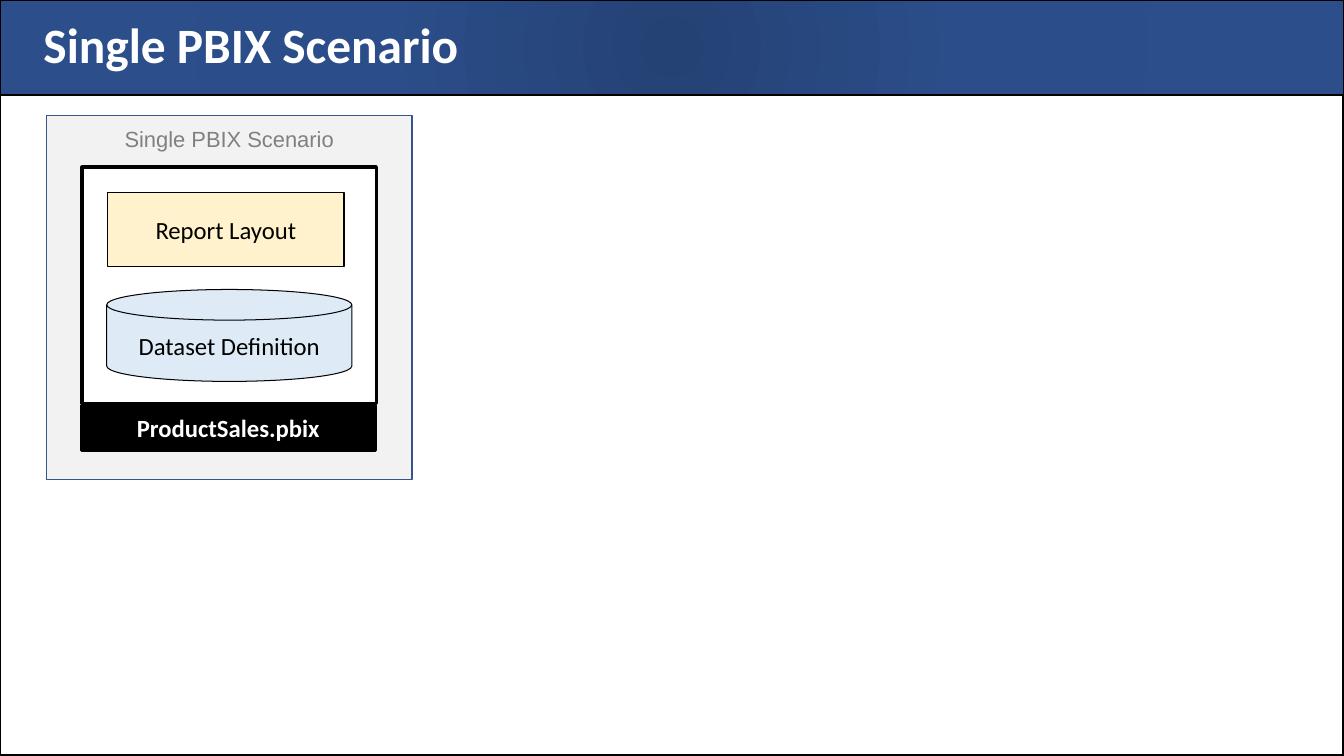
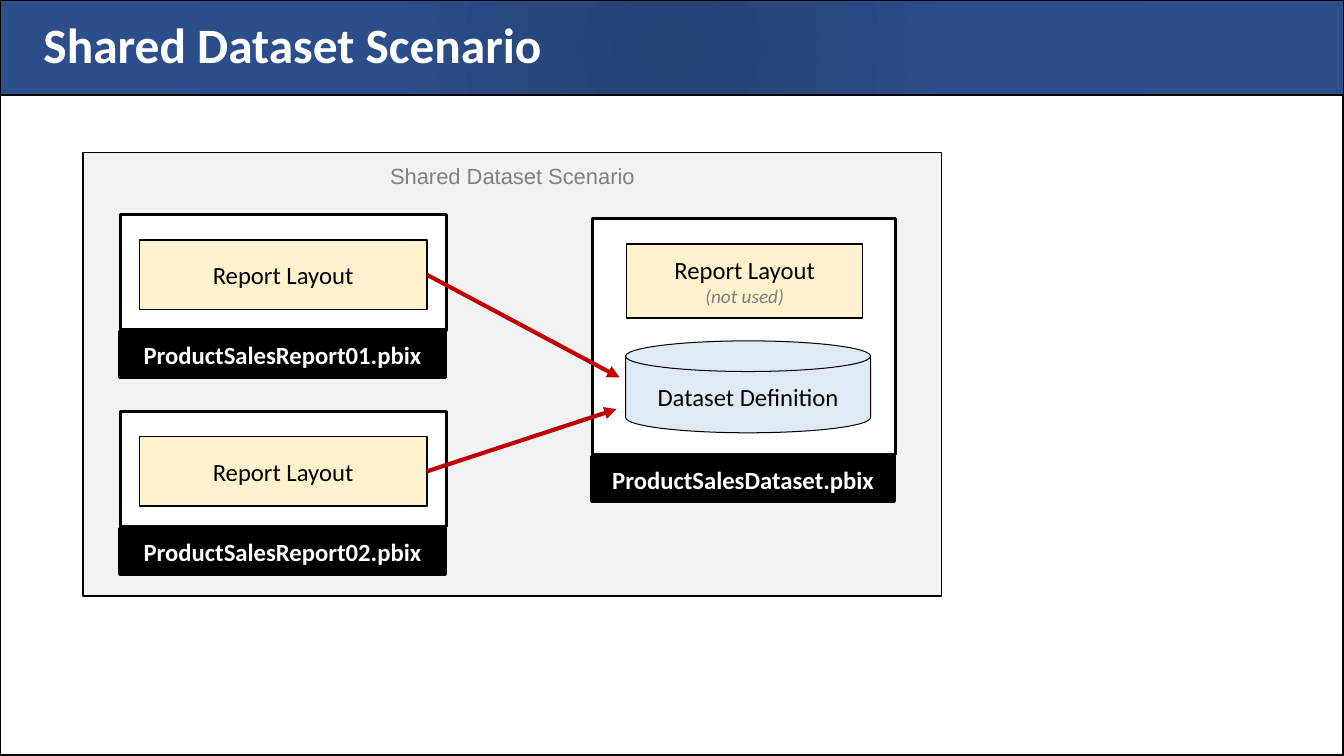
from lxml import etree
from pptx import Presentation
from pptx import util as u
from pptx.dml.color import RGBColor
from pptx.enum import shapes, text
from pptx.oxml import ns

KIND = shapes.MSO_SHAPE
BLACK, WHITE, GREY = "000000", "FFFFFF", "808080"
PANEL, CREAM, SKY, RED = "F2F2F2", "FFF2CC", "DEEBF7", "C00000"
BLUE = "325491"
STOPS = [(0, "254275"), (44, "2B4D89"), (97, "2C4F8C")]
WIDE, HIGH, BAND = 13.6, 7.65, 0.96


def color(code):
    return RGBColor.from_string(code)


def place(*box):
    return [u.Inches(size) for size in box]


def write(frame, words, size=18, font="Calibri", ink=BLACK, bold=False,
          italic=False, align="CENTER", anchor="MIDDLE", top=0.05, lead=None):
    frame.word_wrap = True
    frame.vertical_anchor = getattr(text.MSO_ANCHOR, anchor)
    frame.margin_top = u.Inches(top)
    para = frame.add_paragraph() if frame.text else frame.paragraphs[0]
    para.alignment = getattr(text.PP_ALIGN, align)
    para.line_spacing = lead
    run = para.add_run()
    run.text = words
    run.font.size = u.Pt(size)
    run.font.name = font
    run.font.bold = bold
    run.font.italic = italic
    run.font.color.rgb = color(ink)


def draw(owner, box, fill, line=BLACK, width=1, kind=KIND.RECTANGLE):
    shape = owner.shapes.add_shape(kind, *place(*box))
    shape.shadow.inherit = False
    if fill:
        shape.fill.solid()
        shape.fill.fore_color.rgb = color(fill)
    else:
        shape.fill.background()
    shape.line.color.rgb = color(line)
    shape.line.width = u.Pt(width)
    return shape


def shade(shape):
    props = shape.element.spPr
    grad = etree.Element(ns.qn("a:gradFill"), rotWithShape="1")
    stops = etree.SubElement(grad, ns.qn("a:gsLst"))
    for spot, code in STOPS:
        stop = etree.SubElement(stops, ns.qn("a:gs"), pos=str(spot * 1000))
        etree.SubElement(stop, ns.qn("a:srgbClr"), val=code)
    way = etree.SubElement(grad, ns.qn("a:path"), path="circle")
    sides = {side: "50000" for side in "ltrb"}
    etree.SubElement(way, ns.qn("a:fillToRect"), **sides)
    props.replace(props.find(ns.qn("a:solidFill")), grad)


def dress(layout, slide):
    edge = draw(slide, (0, 0, WIDE, HIGH), None, width=2.25)
    band = draw(slide, (0, 0, WIDE, BAND), STOPS[0][1], width=1.5)
    shade(band)
    for spot, shape in enumerate((edge, band), 2):
        layout.shapes.element.insert(spot, shape.element)


def head(slide, words):
    title = slide.shapes.title
    title.left, title.top, title.width, title.height = place(0.34, 0.21, 12.91, 0.55)
    write(title.text_frame, words, size=36, ink=WHITE, bold=True,
          align="LEFT", lead=0.9)


def panel(slide, box, words, line=BLACK):
    shape = draw(slide, box, PANEL, line)
    write(shape.text_frame, words, size=16, font="Arial", ink=GREY,
          anchor="TOP", top=0.1)


def pbix(slide, box, name):
    left, top, width, height = box
    group = slide.shapes.add_group_shape()
    draw(group, box, WHITE, width=2.25)
    label = draw(group, (left - 0.01, top + height + 0.02, width, 0.46),
                 BLACK, width=2.25)
    write(label.text_frame, name, ink=WHITE, bold=True)


def report(slide, box, note=None):
    shape = draw(slide, box, CREAM)
    write(shape.text_frame, "Report Layout")
    if note:
        write(shape.text_frame, note, size=14, ink=GREY, italic=True)
    return shape


def model(slide, box, name, pad, note=None):
    left, top = box[:2]
    pbix(slide, box, name)
    disk = draw(slide, (left + pad, top + 1.24, 2.48, 0.93), SKY,
                width=0.75, kind=KIND.FLOWCHART_MAGNETIC_DISK)
    write(disk.text_frame, "Dataset Definition", top=0.1)
    report(slide, (left + pad + 0.01, top + 0.26, 2.39, 0.75), note)


def client(slide, box, name):
    left, top, width = box[:3]
    pbix(slide, box, name)
    return report(slide, (left + 0.19, top + 0.26, width - 0.39, 0.7))


def arrow(slide, source, end):
    start = (source.left + source.width, source.top + source.height // 2)
    link = slide.shapes.add_connector(shapes.MSO_CONNECTOR.STRAIGHT,
                                      *start, *place(*end))
    link.begin_connect(source, 3)
    link.line.color.rgb = color(RED)
    link.line.width = u.Pt(3)
    props = link.element.spPr
    etree.SubElement(props.find(ns.qn("a:ln")), ns.qn("a:tailEnd"), type="triangle")
    etree.SubElement(props, ns.qn("a:effectLst"))


def single(slide):
    words = "Single PBIX Scenario"
    head(slide, words)
    panel(slide, (0.47, 1.17, 3.7, 3.68), words, BLUE)
    model(slide, (0.83, 1.69, 2.98, 2.39), "ProductSales.pbix", 0.25)


def shared(slide):
    words = "Shared Dataset Scenario"
    head(slide, words)
    panel(slide, (0.84, 1.54, 8.69, 4.49), words)
    model(slide, (6, 2.21, 3.06, 2.39), "ProductSalesDataset.pbix", 0.33,
          "(not used)")
    ends = [(6.27, 3.82), (6.24, 4.14)]
    for row, end in enumerate(ends):
        box = (1.22, 2.17 + row * 1.99, 3.3, 1.17)
        source = client(slide, box, f"ProductSalesReport0{row + 1}.pbix")
        arrow(slide, source, end)


def main():
    deck = Presentation()
    deck.slide_width, deck.slide_height = place(WIDE, HIGH)
    layout = deck.slide_layouts[5]
    first, second = [deck.slides.add_slide(layout) for _ in range(2)]
    dress(layout, first)
    single(first)
    shared(second)
    deck.save("out.pptx")


if __name__ == "__main__":
    main()
